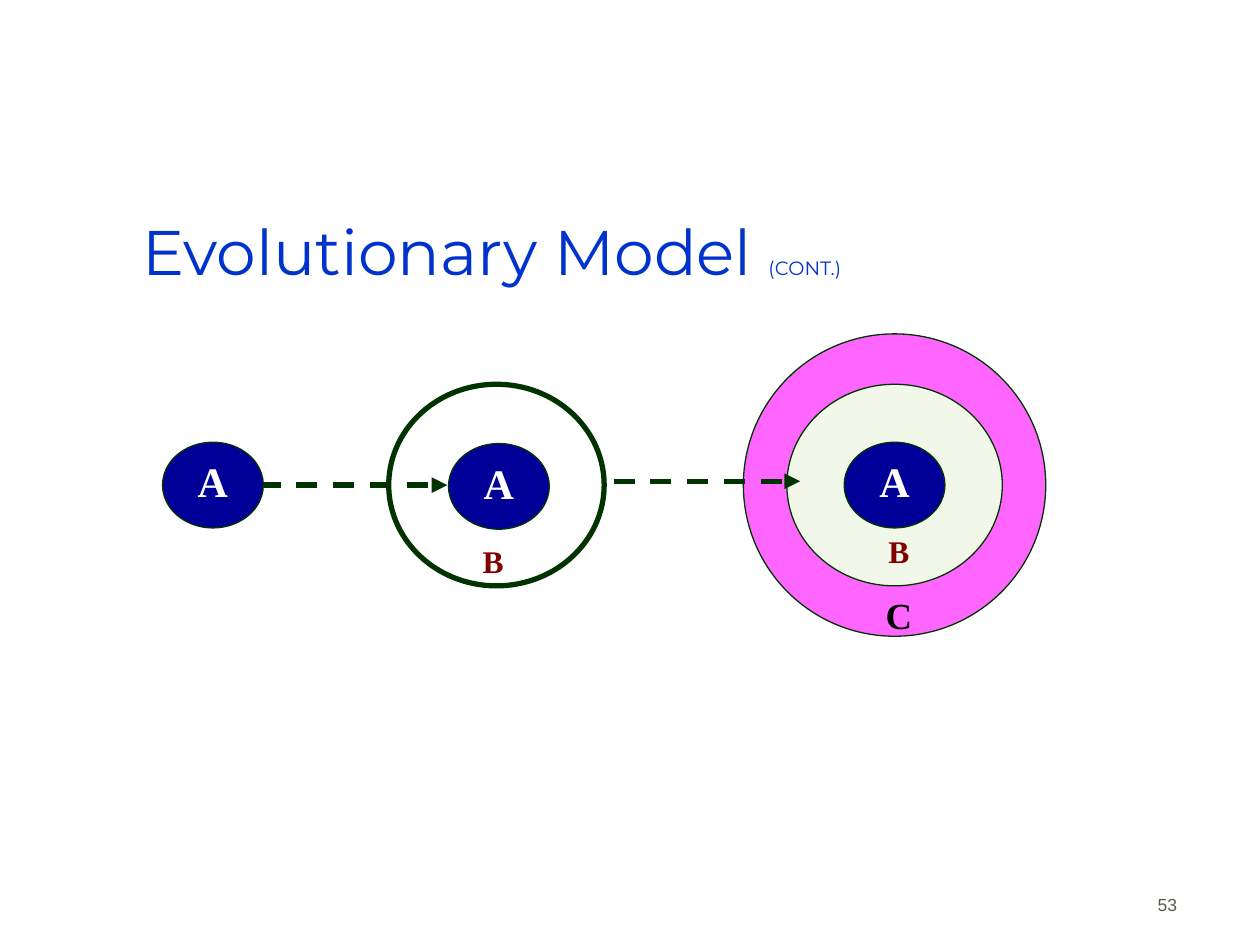
from pptx import Presentation
from pptx.dml.color import RGBColor
from pptx.enum.dml import MSO_LINE
from pptx.enum.shapes import MSO_CONNECTOR, MSO_SHAPE
from pptx.enum.text import MSO_ANCHOR, PP_ALIGN
from pptx.oxml.ns import qn
from pptx.util import Inches, Pt
from lxml import etree

OVAL, STRAIGHT = MSO_SHAPE.OVAL, MSO_CONNECTOR.STRAIGHT
LEFT, CENTER, RIGHT = PP_ALIGN.LEFT, PP_ALIGN.CENTER, PP_ALIGN.RIGHT
TOP, MIDDLE, BOTTOM = MSO_ANCHOR.TOP, MSO_ANCHOR.MIDDLE, MSO_ANCHOR.BOTTOM
DASH = MSO_LINE.DASH
SERIF = "Times New Roman"
GREEN, NAVY, MAROON = "003300", "000099", "800000"
TIGHT = (0.01, 0.04)

# Content: text runs, rings, cores, arrows and labels (inches)
TITLE = [("Evolutionary Model ", 36), ("(CONT.)", 11)]
PAGE = "53"
RINGS = [  # centre x, centre y, width, height, fill, line width
    (7.1, 3.85, 2.4, 2.4, "FF66FF", 0.75),
    (7.1, 3.85, 1.71, 1.6, "F1F7E9", 0.75),
    (3.94, 3.85, 1.71, 1.6, None, 3),
]
CORES = [(1.69, 3.85), (3.96, 3.86), (7.1, 3.85)]
CORE_SIZE = (0.8, 0.68)
ARROWS = [(2.06, 3.55, 3.85), (4.87, 6.35, 3.82)]  # start x, end x, y
LABELS = [  # text, left, top, height, size, colour
    ("B", 3.82, 4.31, 0.68, 18, MAROON),
    ("C", 7.02, 4.72, 0.78, 21, "000000"),
    ("B", 7.04, 4.23, 0.68, 18, MAROON),
]


def rgb(value):
    return RGBColor.from_string(value)


def write(sp, runs, font, color, bold=False, align=LEFT, anchor=TOP,
          margins=TIGHT, spacing=None):
    tf = sp.text_frame
    tf.word_wrap = True
    tf.vertical_anchor = anchor
    tf.margin_left = tf.margin_right = Inches(margins[0])
    tf.margin_top = tf.margin_bottom = Inches(margins[1])
    p = tf.paragraphs[0]
    p.alignment = align
    if spacing:
        p.line_spacing = spacing
    for text, size in runs:
        r = p.add_run()
        r.text = text
        r.font.name, r.font.size, r.font.bold = font, Pt(size), bold
        r.font.color.rgb = rgb(color)


def add_oval(cx, cy, w, h, fill, width):
    sp = slide.shapes.add_shape(OVAL, Inches(cx - w / 2), Inches(cy - h / 2),
                                Inches(w), Inches(h))
    sp.shadow.inherit = False
    if fill:
        sp.fill.solid()
        sp.fill.fore_color.rgb = rgb(fill)
    else:
        sp.fill.background()
    sp.line.color.rgb = rgb(GREEN)
    sp.line.width = Pt(width)
    return sp


def add_text(left, top, w, h):
    return slide.shapes.add_textbox(Inches(left), Inches(top), Inches(w), Inches(h))


def add_arrow(x1, x2, y):
    line = slide.shapes.add_connector(STRAIGHT, Inches(x1), Inches(y),
                                      Inches(x2), Inches(y))
    line.line.color.rgb = rgb(GREEN)
    line.line.width = Pt(3)
    line.line.dash_style = DASH
    etree.SubElement(line.line._get_or_add_ln(), qn("a:tailEnd"), type="triangle")
    etree.SubElement(line._element.spPr, qn("a:effectLst"))


prs = Presentation()
prs.slide_width, prs.slide_height = Inches(10), Inches(7.5)
slide = prs.slides.add_slide(prs.slide_layouts[5])

# Title and page number
title = slide.shapes.title
title.left, title.top = Inches(1.12), Inches(1.52)
title.width, title.height = Inches(6.37), Inches(0.94)
write(title, TITLE, "Montserrat", "0033CC", anchor=MIDDLE)
write(add_text(7.36, 6.81, 2.08, 0.5), [(PAGE, 10)], "Arial", "5E574E",
      align=RIGHT, anchor=BOTTOM, margins=(0.1, 0.05))

# Growing stages: rings, arrows between them, then the cores
for ring in RINGS:
    add_oval(*ring)
for arrow in ARROWS:
    add_arrow(*arrow)
for cx, cy in CORES:
    core = add_oval(cx, cy, *CORE_SIZE, NAVY, 0.75)
    write(core, [("A", 24)], SERIF, "FFFFFF", bold=True, align=CENTER,
          anchor=MIDDLE, spacing=0.85)

# Ring labels
for text, left, top, height, size, color in LABELS:
    write(add_text(left, top, 0.57, height), [(text, size)], SERIF, color,
          bold=True, spacing=0.85)

prs.save("out.pptx")
